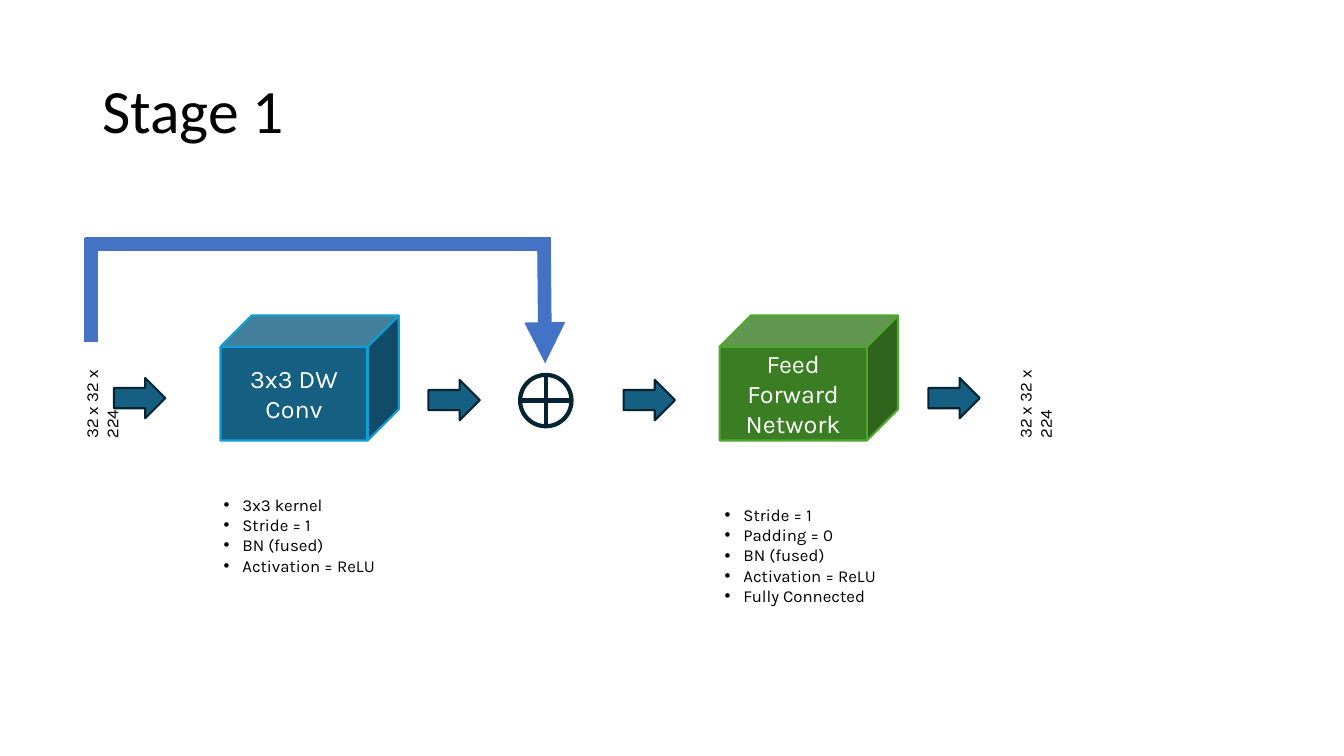
import pptx
import pptx.util
import pptx.dml.color
import pptx.enum.shapes
import pptx.enum.text
import pptx.oxml
import pptx.oxml.ns

Pt = pptx.util.Pt
SHAPES = pptx.enum.shapes.MSO_SHAPE
ALIGN = pptx.enum.text.PP_ALIGN
ANCHOR = pptx.enum.text.MSO_ANCHOR

COLORS = {
    "text": "000000",
    "white": "FFFFFF",
    "blue": "156082",
    "blue_edge": "0F9ED5",
    "green": "3B7D23",
    "green_edge": "4EA72E",
    "navy": "042433",
    "skip": "4472C4",
}
BODY_FONT = "Karla"


def rgb(name):
    return pptx.dml.color.RGBColor.from_string(COLORS[name])


def xml_element(tag, **attributes):
    element = pptx.oxml.parse_xml(f"<{tag} {pptx.oxml.ns.nsdecls('a')}/>")
    for name, value in attributes.items():
        element.set(name, value)
    return element


def add_run(paragraph, text, size, color="text", font=BODY_FONT):
    run = paragraph.add_run()
    run.text = text
    run.font.size = Pt(size)
    run.font.name = font
    run.font.color.rgb = rgb(color)


def add_text_frame(slide, left, top, width, height, wrap=True):
    shape = slide.shapes.add_textbox(Pt(left), Pt(top), Pt(width), Pt(height))
    shape.text_frame.word_wrap = wrap
    return shape


def add_title(slide, left, top, width, height, text):
    frame = add_text_frame(slide, left, top, width, height).text_frame
    frame.vertical_anchor = ANCHOR.MIDDLE
    frame.paragraphs[0].line_spacing = 0.9
    add_run(frame.paragraphs[0], text, 44, font="Calibri")


def add_outlined_shape(slide, kind, left, top, width, height, fill, edge, weight):
    shape = slide.shapes.add_shape(kind, Pt(left), Pt(top), Pt(width), Pt(height))
    shape.shadow.inherit = False
    if fill:
        shape.fill.solid()
        shape.fill.fore_color.rgb = rgb(fill)
    else:
        shape.fill.background()
    shape.line.color.rgb = rgb(edge)
    shape.line.width = Pt(weight)
    return shape


def add_layer_cube(slide, left, top, text, color):
    shape = add_outlined_shape(
        slide, SHAPES.CUBE, left, top, 127.4, 89.3, color, color + "_edge", 1.5
    )
    frame = shape.text_frame
    frame.word_wrap = True
    frame.vertical_anchor = ANCHOR.MIDDLE
    frame.paragraphs[0].alignment = ALIGN.CENTER
    add_run(frame.paragraphs[0], text, 18, "white")


def add_size_label(slide, left, top, text):
    shape = add_text_frame(slide, left, top, 86.4, 36, wrap=False)
    shape.rotation = 270
    add_run(shape.text_frame.paragraphs[0], text, 12)


def add_bullets(slide, left, top, items):
    frame = add_text_frame(slide, left, top, 170.6, 7.2 + 14.5 * len(items)).text_frame
    for index, item in enumerate(items):
        paragraph = frame.paragraphs[0] if index == 0 else frame.add_paragraph()
        properties = paragraph._p.get_or_add_pPr()
        properties.set("marL", str(Pt(13.5)))
        properties.set("indent", str(-Pt(13.5)))
        properties.append(xml_element("a:buFont", typeface="Arial"))
        properties.append(xml_element("a:buChar", char="•"))
        add_run(paragraph, item, 12)


def add_skip_path(slide, left, top, width, height):
    group = slide.shapes.add_group_shape()
    tip = left + width
    segments = [
        ((left - 4.6, top), (tip + 4.9, top), False),
        ((tip - 0.4, top), (tip + 0.4, top + height), True),
        ((left, top - 4.4), (left, top + 69.9), False),
    ]
    for start, end, has_head in segments:
        connector = group.shapes.add_connector(
            pptx.enum.shapes.MSO_CONNECTOR.STRAIGHT, *map(Pt, start + end)
        )
        connector.line.color.rgb = rgb("skip")
        connector.line.width = Pt(9.75)
        if has_head:
            connector.line._get_or_add_ln().append(
                xml_element("a:tailEnd", type="triangle")
            )
        connector._element.spPr.append(xml_element("a:effectLst"))


def add_stage(slide, left, top):
    add_layer_cube(slide, left + 128.1, top + 55, "3x3 DW Conv", "blue")
    add_layer_cube(slide, left + 484.7, top + 55, "Feed Forward Network", "green")
    add_outlined_shape(
        slide, SHAPES.FLOWCHART_OR, left + 342.1, top + 97.4, 36.7, 36.7, None, "navy", 3
    )
    for offset_x, offset_y in [(52, 99.6), (276.6, 101), (416, 101), (633.7, 99.6)]:
        add_outlined_shape(
            slide, SHAPES.RIGHT_ARROW, left + offset_x, top + offset_y,
            36.7, 28.8, "blue", "navy", 1.5,
        )
    for offset_x in (0, 666.8):
        add_size_label(slide, left + offset_x, top + 88.8, "32 x 32 x 224")
    add_bullets(
        slide, left + 123.2, top + 179.5,
        ["3x3 kernel", "Stride = 1", "BN (fused)", "Activation = ReLU"],
    )
    add_bullets(
        slide, left + 481.1, top + 186.7,
        ["Stride = 1", "Padding = 0", "BN (fused)", "Activation = ReLU", "Fully Connected"],
    )
    add_skip_path(slide, left + 35.6, top + 4.1, 324, 85)


def main():
    presentation = pptx.Presentation()
    presentation.slide_width = Pt(960)
    presentation.slide_height = Pt(540)
    slide = presentation.slides.add_slide(presentation.slide_layouts[6])
    add_title(slide, 66, 28.8, 828, 104.4, "Stage 1")
    add_stage(slide, 29.4, 170.4)
    presentation.save("out.pptx")


if __name__ == "__main__":
    main()
